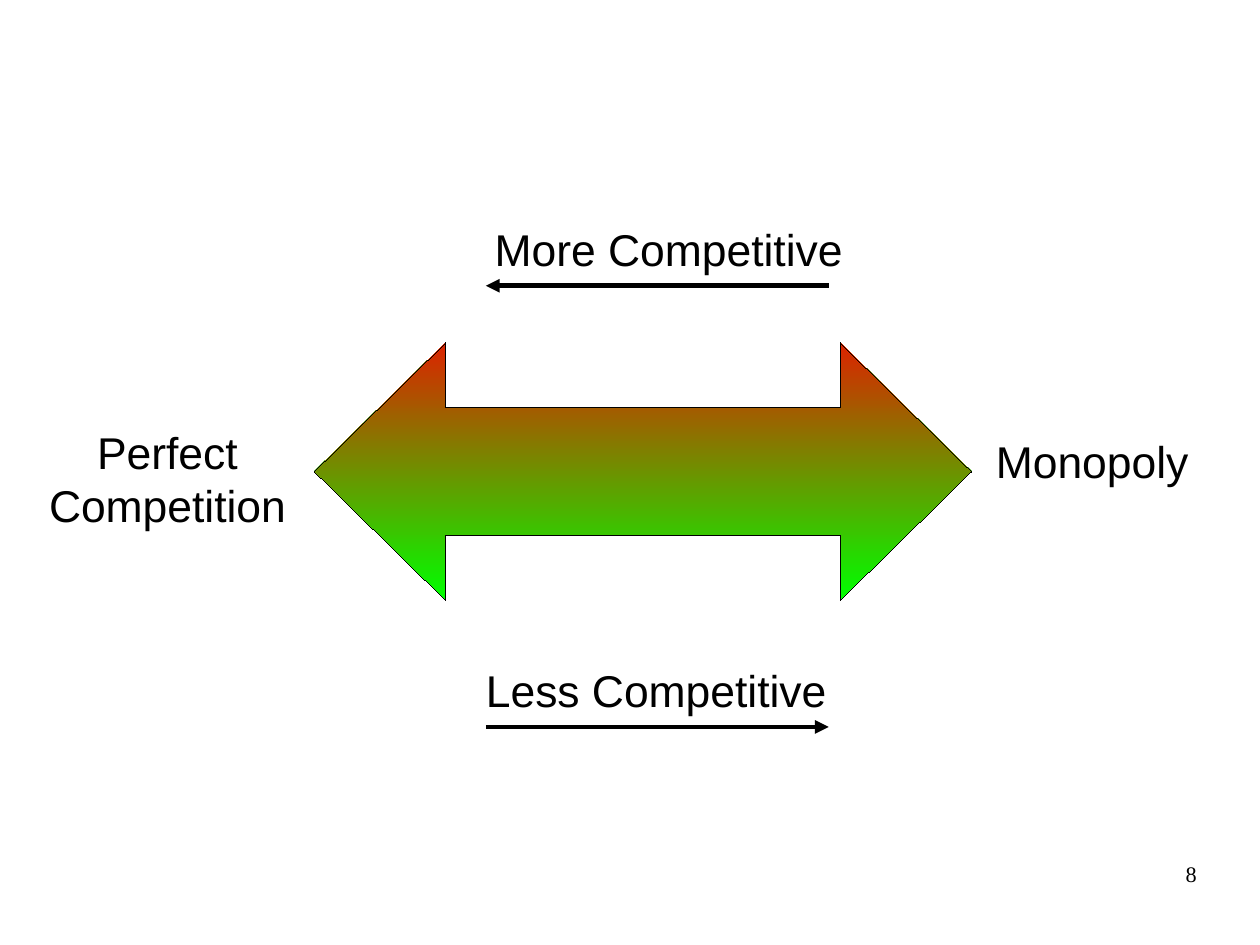
from lxml import etree
from pptx import Presentation
from pptx.dml.color import RGBColor
from pptx.enum.shapes import MSO_CONNECTOR, MSO_SHAPE
from pptx.enum.text import MSO_AUTO_SIZE, PP_ALIGN as Align
from pptx.oxml.ns import qn
from pptx.util import Inches, Pt

BLACK, GREEN, RED = "000000", "00FF00", "DC2300"
CM_PER_INCH = 2.54


def color(value):
    """Turn a hex string into a colour."""
    return RGBColor.from_string(value)


def add_text(page, box, lines, size=28, font="Arial", align=Align.CENTER, inset=(0.1, 0.05)):
    """Place lines of text in a box, one paragraph each."""
    frame = page.shapes.add_textbox(*map(Inches, box)).text_frame
    frame.word_wrap = True
    frame.auto_size = MSO_AUTO_SIZE.NONE
    frame.margin_left = frame.margin_right = Inches(inset[0])
    frame.margin_top = frame.margin_bottom = Inches(inset[1])
    frame.text = "\n".join(lines)
    for para in frame.paragraphs:
        para.alignment = align
        para.font.size = Pt(size)
        para.font.name = font
        para.font.color.rgb = color(BLACK)


def add_direction(page, start, end, y):
    """Draw a horizontal arrow from start to end at height y."""
    ends = map(Inches, (start, y, end, y))
    arrow = page.shapes.add_connector(MSO_CONNECTOR.STRAIGHT, *ends)
    arrow.line.color.rgb = color(BLACK)
    arrow.line.width = Pt(2.89)
    outline = arrow._element.spPr.find(qn("a:ln"))
    etree.SubElement(outline, qn("a:tailEnd"), type="triangle")
    etree.SubElement(arrow._element.spPr, qn("a:effectLst"))


def add_spectrum(page, box):
    """Draw the double arrow with its labels and directions around the box."""
    left, top, width, height = box
    right, bottom = left + width, top + height
    spectrum = page.shapes.add_shape(MSO_SHAPE.LEFT_RIGHT_ARROW, *map(Inches, box))
    spectrum.shadow.inherit = False
    spectrum.adjustments[0] = 0.5
    spectrum.adjustments[1] = 0.51
    spectrum.fill.gradient()
    spectrum.fill.gradient_angle = 90
    for stop, position, shade in zip(spectrum.fill.gradient_stops, (0, 1), (GREEN, RED)):
        stop.position = position
        stop.color.rgb = color(shade)
    spectrum.line.color.rgb = color(BLACK)
    spectrum._element.spPr.find(qn("a:ln")).set("w", "0")

    add_text(page, (left + 1.35, top - 1.11, 3.5, 0.53), ["More Competitive"])
    add_text(page, (left + 1.24, bottom + 0.5, 3.5, 0.53), ["Less Competitive"])
    add_text(page, (right, top + 0.75, 2.11, 0.53), ["Monopoly"])
    add_text(page, (left - 2.5, top + 0.67, 2.43, 0.97), ["Perfect", "Competition"])
    add_direction(page, right - 1.25, left + 1.5, top - 0.5)
    add_direction(page, left + 1.5, right - 1.25, bottom + 1.11)


def main():
    """Build the slide and save the deck."""
    deck = Presentation()
    deck.slide_width = Inches(28 / CM_PER_INCH)
    deck.slide_height = Inches(21 / CM_PER_INCH)
    page = deck.slides.add_slide(deck.slide_layouts[6])
    add_spectrum(page, (2.75, 3, 5.75, 2.25))
    add_text(page, (7.9, 7.53, 2.57, 0.57), ["8"], 14, "Times New Roman", Align.RIGHT, (0, 0))
    deck.save("out.pptx")


if __name__ == "__main__":
    main()
